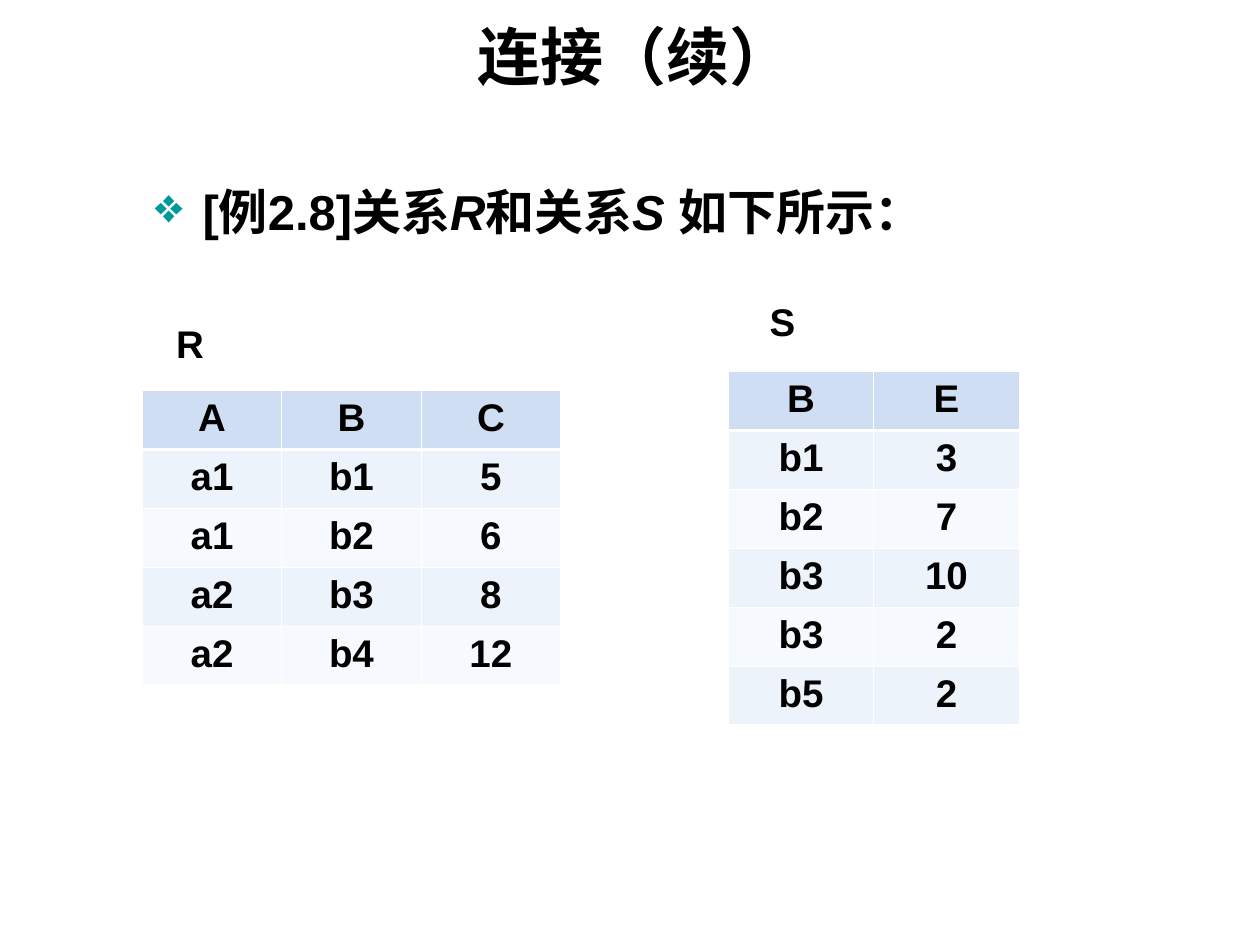
from dataclasses import dataclass

from lxml.etree import SubElement
from pptx import Presentation
from pptx.dml.color import RGBColor
from pptx.enum.text import MSO_ANCHOR, MSO_AUTO_SIZE, PP_ALIGN
from pptx.oxml.ns import qn
from pptx.util import Inches, Pt

COLORS = {
    "text": "000000",
    "bullet": "009999",
    "header": "CFDEF3",
    "odd": "EDF3FA",
    "even": "F6F9FD",
    "border": "FFFFFF",
}
FONT = "Arial"
ROW_HEIGHT = 0.467
THIN, THICK = 0.45, 1.47


@dataclass
class Relation:
    name: str
    label_at: tuple[float, float, float, float]
    left: float
    top: float
    width: float
    rows: list[list[str]]


RELATIONS = [
    Relation("R", (1.3, 2.49, 0.42, 0.47), 1.13, 3.1, 3.32, [
        ["A", "B", "C"],
        ["a1", "b1", "5"],
        ["a1", "b2", "6"],
        ["a2", "b3", "8"],
        ["a2", "b4", "12"],
    ]),
    Relation("S", (6.01, 2.32, 0.4, 0.47), 5.78, 2.95, 2.31, [
        ["B", "E"],
        ["b1", "3"],
        ["b2", "7"],
        ["b3", "10"],
        ["b3", "2"],
        ["b5", "2"],
    ]),
]


def add_run(p, text: str, size: float, italic: bool = False) -> None:
    r = p.add_run()
    r.text = text
    font = r.font
    font.name, font.size = FONT, Pt(size)
    font.bold, font.italic = True, italic
    font.color.rgb = RGBColor.from_string(COLORS["text"])


def set_borders(cell, row: int) -> None:
    widths = {
        "a:lnL": THIN,
        "a:lnR": THIN,
        "a:lnT": THICK if row == 1 else THIN,
        "a:lnB": THICK if row == 0 else THIN,
    }
    tc_pr = cell._tc.get_or_add_tcPr()
    for i, (tag, width) in enumerate(widths.items()):
        ln = SubElement(tc_pr, qn(tag), w=str(int(Pt(width))))
        fill = SubElement(ln, qn("a:solidFill"))
        SubElement(fill, qn("a:srgbClr"), val=COLORS["border"])
        tc_pr.insert(i, ln)


def add_relation(s, rel: Relation) -> None:
    # Label
    tf = s.shapes.add_textbox(*map(Inches, rel.label_at)).text_frame
    tf.word_wrap = False
    tf.auto_size = MSO_AUTO_SIZE.SHAPE_TO_FIT_TEXT
    add_run(tf.paragraphs[0], rel.name, 22)

    # Table
    n_rows, n_cols = len(rel.rows), len(rel.rows[0])
    table = s.shapes.add_table(
        n_rows, n_cols, Inches(rel.left), Inches(rel.top),
        Inches(rel.width), Inches(n_rows * ROW_HEIGHT)).table
    for i, values in enumerate(rel.rows):
        shade = "header" if i == 0 else "odd" if i % 2 else "even"
        for j, value in enumerate(values):
            cell = table.cell(i, j)
            cell.fill.solid()
            cell.fill.fore_color.rgb = RGBColor.from_string(COLORS[shade])
            set_borders(cell, i)
            p = cell.text_frame.paragraphs[0]
            p.alignment = PP_ALIGN.CENTER
            add_run(p, value, 22)


def add_title(s, text: str) -> None:
    sp = s.shapes.title
    sp.left, sp.top = Inches(1), Inches(0.13)
    sp.width, sp.height = Inches(8.08), Inches(0.62)
    tf = sp.text_frame
    tf.vertical_anchor = MSO_ANCHOR.MIDDLE
    tf.auto_size = MSO_AUTO_SIZE.NONE
    p = tf.paragraphs[0]
    p.alignment = PP_ALIGN.CENTER
    add_run(p, text, 36)


def add_example(s, runs: list[tuple[str, bool]]) -> None:
    tf = s.shapes.add_textbox(
        Inches(1.13), Inches(1.39), Inches(8.28), Inches(1.18)).text_frame
    tf.word_wrap = True
    p = tf.paragraphs[0]
    p_pr = p._p.get_or_add_pPr()
    p_pr.set("marL", str(Inches(0.38)))
    p_pr.set("indent", str(Inches(-0.38)))
    bu_clr = SubElement(p_pr, qn("a:buClr"))
    SubElement(bu_clr, qn("a:srgbClr"), val=COLORS["bullet"])
    SubElement(p_pr, qn("a:buChar"), char="❖")
    for text, italic in runs:
        add_run(p, text, 28, italic)


def main() -> None:
    prs = Presentation()
    prs.slide_width, prs.slide_height = Inches(10), Inches(7.5)
    s = prs.slides.add_slide(prs.slide_layouts[5])
    add_title(s, "连接（续）")
    for rel in RELATIONS:
        add_relation(s, rel)
    add_example(s, [
        ("[例2.8]关系", False),
        ("R", True),
        ("和关系", False),
        ("S ", True),
        ("如下所示：", False),
    ])
    prs.save("out.pptx")


if __name__ == "__main__":
    main()
